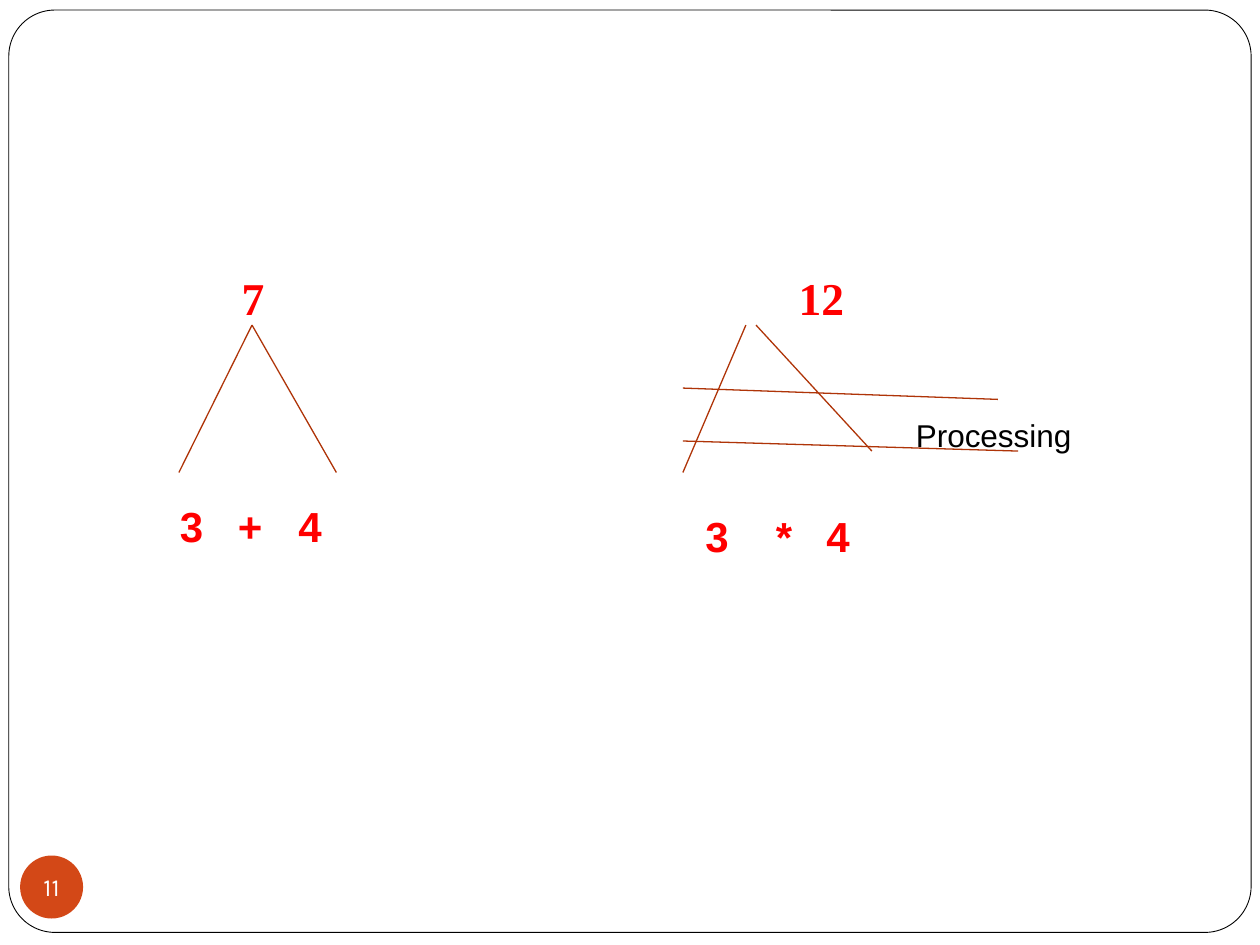
import pptx
import pptx.dml.color
import pptx.enum.shapes
import pptx.enum.text
import pptx.oxml.ns
import pptx.util
from lxml import etree

Inches = pptx.util.Inches
Pt = pptx.util.Pt
Kind = pptx.enum.shapes.MSO_SHAPE
Tie = pptx.enum.shapes.MSO_CONNECTOR
Align = pptx.enum.text.PP_ALIGN
Anchor = pptx.enum.text.MSO_ANCHOR
qn = pptx.oxml.ns.qn


def hue(code):
    return pptx.dml.color.RGBColor.from_string(code)


class Deck:
    """Holds the style and the current slide."""

    red, rust, black, white = "FF0000", "AF3408", "000000", "FFFFFF"
    badge, sans, serif, light = "D34817", "Arial", "Times New Roman", "Karla"

    def __init__(self):
        self.show = pptx.Presentation()
        self.show.slide_width = Inches(10)
        self.show.slide_height = Inches(7.5)
        self.slide = self.show.slides.add_slide(self.show.slide_layouts[6])

    def shape(self, kind, box, fill, edge=None):
        item = self.slide.shapes.add_shape(kind, *map(Inches, box))
        item.shadow.inherit = False
        item.fill.solid()
        item.fill.fore_color.rgb = hue(fill)
        if edge:
            item.line.color.rgb = hue(edge)
            item.line.width = Pt(0.5)
        else:
            item.line.fill.background()
        return item

    def line(self, start, end):
        item = self.slide.shapes.add_connector(
            Tie.STRAIGHT, *map(Inches, start + end))
        item.line.color.rgb = hue(self.rust)
        item.line.width = Pt(0.75)
        etree.SubElement(item._element.spPr, qn("a:effectLst"))

    def run(self, para, text, size, face, tint, bold=False):
        run = para.add_run()
        run.text = text
        run.font.size = Pt(size)
        run.font.name = face
        run.font.bold = bold
        run.font.color.rgb = hue(tint)

    def text(self, box, parts, size, face, tint, bold=True, tabs=(),
             top=0.05):
        frame = self.slide.shapes.add_textbox(*map(Inches, box)).text_frame
        frame.word_wrap = True
        frame.margin_top = Inches(top)
        para = frame.paragraphs[0]
        if tabs:
            stops = etree.SubElement(para._p.get_or_add_pPr(), qn("a:tabLst"))
            for stop in tabs:
                etree.SubElement(stops, qn("a:tab"),
                                 pos=str(Inches(stop)), algn="l")
        for part in parts:
            self.run(para, part, size, face, tint, bold)

    def number(self, box, text):
        item = self.shape(Kind.OVAL, box, self.badge)
        frame = item.text_frame
        frame.word_wrap = False
        frame.vertical_anchor = Anchor.MIDDLE
        frame.margin_left = frame.margin_right = 0
        frame.margin_top = frame.margin_bottom = 0
        para = frame.paragraphs[0]
        para.alignment = Align.CENTER
        self.run(para, text, 14, self.light, self.white)


def main():
    deck = Deck()
    frame = deck.shape(Kind.ROUNDED_RECTANGLE, (0.07, 0.08, 9.86, 7.32),
                       deck.white, deck.black)
    frame.adjustments[0] = 0.05
    deck.text((1, 1.58, 8.5, 5), ["\t7", "\t12"], 26, deck.serif, deck.red,
              tabs=(0.82, 5.24), top=0.56)
    deck.number((0.16, 6.79, 0.5, 0.5), "11")

    sums = [
        ((1.33, 3.92), "+", (0.46, 0.94)),
        ((5.5, 4), "*", (0.56, 0.96)),
    ]
    for spot, sign, tabs in sums:
        deck.text(spot + (1.42, 0.5), ["3", "\t" + sign, "\t4"], 24,
                  deck.sans, deck.red, tabs=tabs)

    lines = [
        ((2, 2.58), (1.42, 3.75)),
        ((2, 2.58), (2.67, 3.75)),
        ((5.92, 2.58), (5.42, 3.75)),
        ((6, 2.58), (6.92, 3.58)),
        ((5.42, 3.08), (7.92, 3.17)),
        ((5.42, 3.5), (8.08, 3.58)),
    ]
    for start, end in lines:
        deck.line(start, end)
    deck.text((7.17, 3.25, 1.5, 0.4), ["Processing"], 18, deck.sans,
              deck.black, bold=False)
    deck.show.save("out.pptx")


if __name__ == "__main__":
    main()
